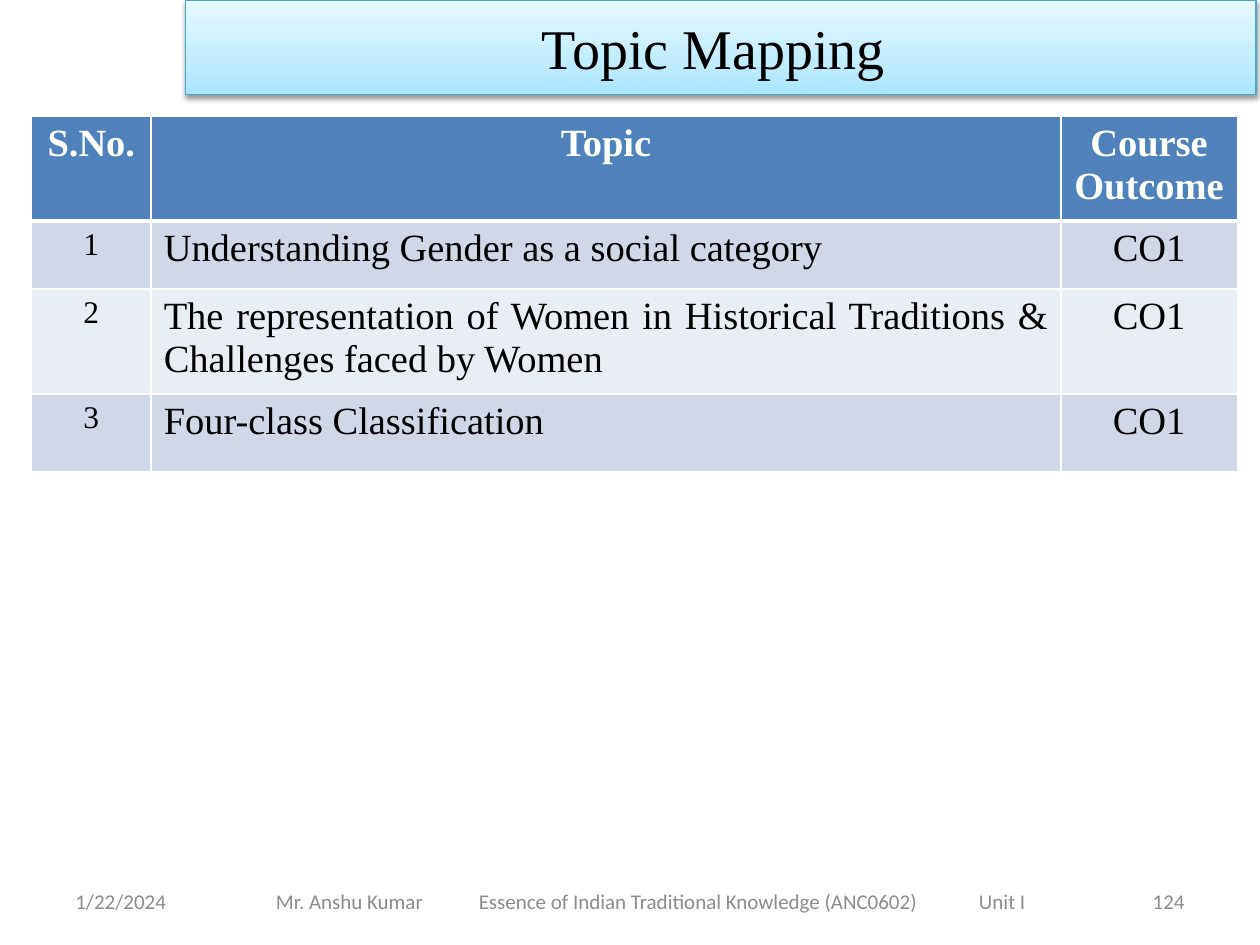
import copy

import pptx
import pptx.dml.color
import pptx.enum.shapes
import pptx.enum.text
import pptx.oxml
import pptx.oxml.ns
import pptx.util
from pptx.util import Inches

RGBColor = pptx.dml.color.RGBColor
ALIGN = pptx.enum.text.PP_ALIGN
ANCHOR = pptx.enum.text.MSO_ANCHOR

BLACK = RGBColor(0x00, 0x00, 0x00)
WHITE = RGBColor(0xFF, 0xFF, 0xFF)
GREY = RGBColor(0x8C, 0x8C, 0x8C)
TEAL = RGBColor(0x46, 0xAA, 0xC5)
HEADER_BLUE = RGBColor(0x4F, 0x81, 0xBD)
BAND_DARK = RGBColor(0xD0, 0xD8, 0xE8)
BAND_LIGHT = RGBColor(0xE9, 0xED, 0xF4)
BANNER_STOPS = [
    (0, RGBColor(0xA7, 0xE6, 0xFF)),
    (0.35, RGBColor(0xC1, 0xED, 0xFF)),
    (1, RGBColor(0xE7, 0xF8, 0xFF)),
]
SERIF = "Times New Roman"
SANS = "Calibri"
NAMESPACE = pptx.oxml.ns.nsdecls("a")

TOPICS = [
    "Understanding Gender as a social category",
    "The representation of Women in Historical Traditions & Challenges faced by Women",
    "Four-class Classification",
]


def write_text(text_frame, text, font_name, size, color, alignment, bold=False):
    text_frame.text = text
    paragraph = text_frame.paragraphs[0]
    paragraph.alignment = alignment
    for run in paragraph.runs:
        run.font.name = font_name
        run.font.size = pptx.util.Pt(size)
        run.font.color.rgb = color
        run.font.bold = bold
    return paragraph


def add_banner(slide, left, top, width, height):
    banner = slide.shapes.add_shape(
        pptx.enum.shapes.MSO_SHAPE.RECTANGLE, left, top, width, height
    )
    banner.fill.gradient()
    banner.fill.gradient_angle = 90
    properties = banner._element.spPr
    stop_list = properties.find(".//" + pptx.oxml.ns.qn("a:gsLst"))
    stop_list.append(copy.deepcopy(stop_list[0]))
    for stop, (position, color) in zip(banner.fill.gradient_stops, BANNER_STOPS):
        stop.position = position
        stop.color.rgb = color
    banner.line.color.rgb = TEAL
    banner.line.width = pptx.util.Pt(0.75)
    banner.shadow.inherit = False
    effects = properties.find(pptx.oxml.ns.qn("a:effectLst"))
    effects.append(pptx.oxml.parse_xml(
        f'<a:outerShdw {NAMESPACE} blurRad="{pptx.util.Pt(3.1)}" '
        f'dist="{pptx.util.Pt(1.6)}" dir="5400000" rotWithShape="0">'
        '<a:srgbClr val="000000"><a:alpha val="38000"/></a:srgbClr></a:outerShdw>'
    ))
    banner.text_frame.vertical_anchor = ANCHOR.MIDDLE
    write_text(banner.text_frame, "Topic Mapping ", SERIF, 32, BLACK, ALIGN.CENTER)


def set_borders(cell, bottom_width):
    properties = cell._tc.get_or_add_tcPr()
    sides = [("L", 1), ("R", 1), ("T", 1), ("B", bottom_width)]
    for index, (side, width) in enumerate(sides):
        properties.insert(index, pptx.oxml.parse_xml(
            f'<a:ln{side} {NAMESPACE} w="{pptx.util.Pt(width)}">'
            f'<a:solidFill><a:srgbClr val="{WHITE}"/></a:solidFill></a:ln{side}>'
        ))


def add_topic_table(slide, left, top, width, height):
    rows = [("S.No.", "Topic", "Course Outcome")]
    rows += [(str(number), topic, "CO1") for number, topic in enumerate(TOPICS, 1)]
    table = slide.shapes.add_table(len(rows), 3, left, top, width, height).table
    for column, column_width in zip(table.columns, (0.95, 7.22, 1.4)):
        column.width = Inches(column_width)
    for row, row_height in zip(table.rows, (0.8, 0.54, 0.54, 0.62)):
        row.height = Inches(row_height)
    for row_index, texts in enumerate(rows):
        header = row_index == 0
        band = BAND_DARK if row_index % 2 else BAND_LIGHT
        for column_index, text in enumerate(texts):
            cell = table.cell(row_index, column_index)
            cell.fill.solid()
            cell.fill.fore_color.rgb = HEADER_BLUE if header else band
            set_borders(cell, 3 if header else 1)
            size = 18 if column_index == 0 and not header else 22
            justified = column_index == 1 and not header
            write_text(
                cell.text_frame, text, SERIF, size, WHITE if header else BLACK,
                ALIGN.JUSTIFY if justified else ALIGN.CENTER, header,
            )


def add_footer_text(slide, left, top, width, height, text, alignment):
    box = slide.shapes.add_textbox(left, top, width, height)
    box.text_frame.word_wrap = True
    box.text_frame.vertical_anchor = ANCHOR.MIDDLE
    write_text(box.text_frame, text, SANS, 12, GREY, alignment)
    return box


def add_footer(slide, left, top, width, height):
    side_width = Inches(2.33)
    add_footer_text(slide, left, top, side_width, height, "1/22/2024", ALIGN.LEFT)
    course = add_footer_text(
        slide, left + Inches(1.25), top, Inches(6.83), height,
        "Mr. Anshu Kumar\tEssence of Indian Traditional Knowledge (ANC0602)\tUnit I",
        ALIGN.LEFT,
    )
    course.text_frame.margin_left = Inches(0.44)
    tabs = "".join(
        f'<a:tab pos="{Inches(position)}" algn="l"/>' for position in (1.61, 5.58)
    )
    course.text_frame.paragraphs[0]._p.get_or_add_pPr().append(
        pptx.oxml.parse_xml(f"<a:tabLst {NAMESPACE}>{tabs}</a:tabLst>")
    )
    add_footer_text(
        slide, left + width - side_width, top, side_width, height, "124", ALIGN.RIGHT
    )


def main():
    presentation = pptx.Presentation()
    presentation.slide_width = Inches(10)
    presentation.slide_height = Inches(7.5)
    slide = presentation.slides.add_slide(presentation.slide_layouts[6])
    add_footer(slide, Inches(0.5), Inches(6.95), Inches(9), Inches(0.4))
    add_banner(slide, Inches(1.47), Inches(0), Inches(8.5), Inches(0.75))
    add_topic_table(slide, Inches(0.25), Inches(0.92), Inches(9.57), Inches(2.5))
    presentation.save("out.pptx")


if __name__ == "__main__":
    main()
